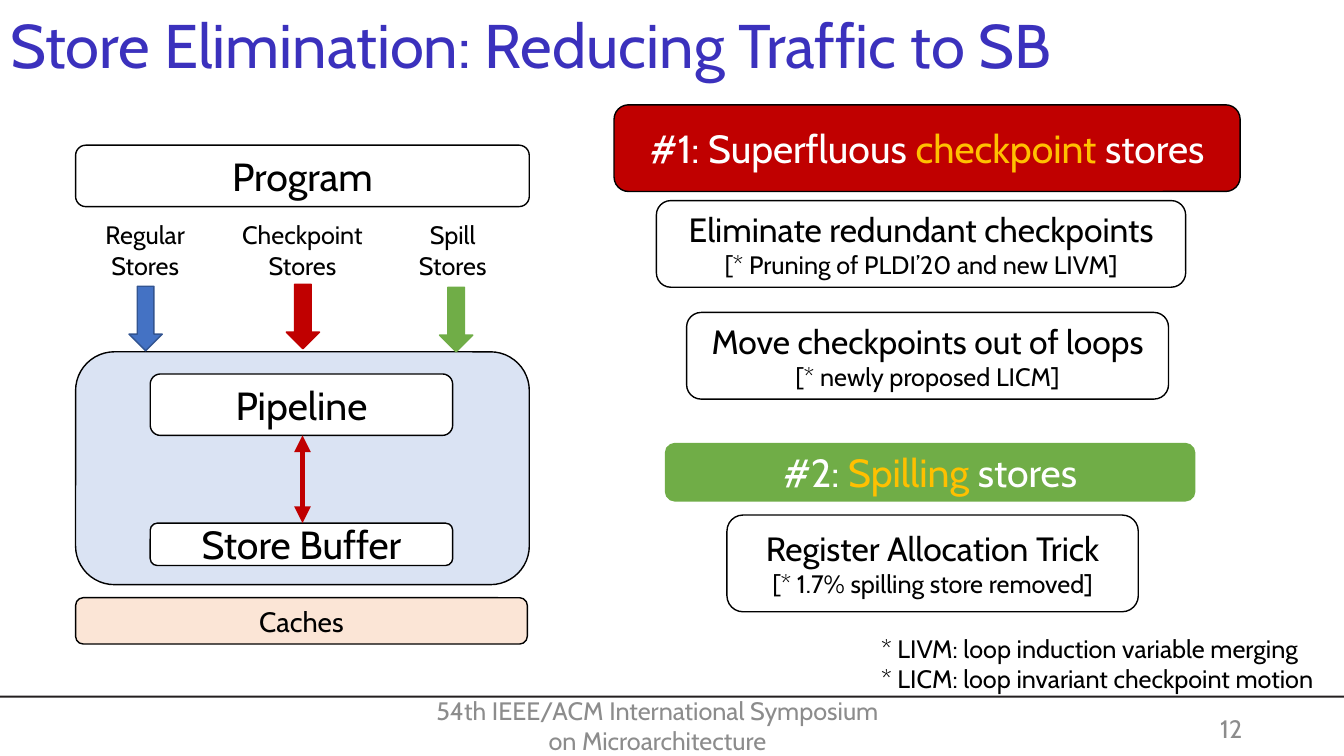
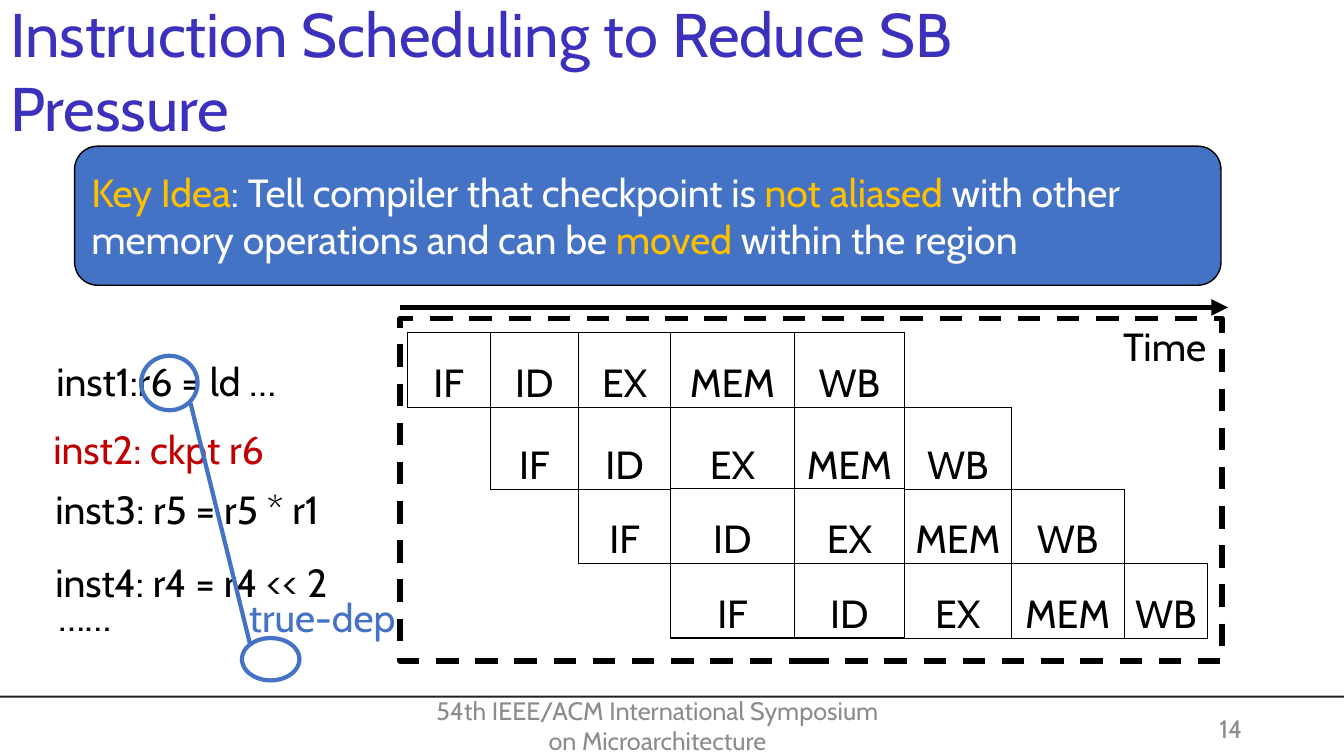
from itertools import accumulate

from pptx import Presentation
from pptx.dml.color import RGBColor
from pptx.enum.dml import MSO_LINE as Dash
from pptx.enum.shapes import MSO_CONNECTOR as Link, MSO_SHAPE as Kind
from pptx.enum.text import MSO_ANCHOR as Anchor, MSO_AUTO_SIZE as Fit, PP_ALIGN as Align
from pptx.oxml.ns import qn
from pptx.util import Pt
from lxml.etree import SubElement as add_node

PX = 9144
FONT = "Cabin"
WHITE = RGBColor(0xFF, 0xFF, 0xFF)
BLACK = RGBColor(0x00, 0x00, 0x00)
INK = RGBColor(0x23, 0x1F, 0x20)
GREY = RGBColor(0x8C, 0x8C, 0x8C)
VIOLET = RGBColor(0x3B, 0x31, 0xBD)
RED = RGBColor(0xC0, 0x00, 0x00)
GOLD = RGBColor(0xFF, 0xC0, 0x00)
GREEN = RGBColor(0x70, 0xAD, 0x47)
BLUE = RGBColor(0x44, 0x72, 0xC4)
NAVY = RGBColor(0x32, 0x54, 0x91)
PALE = RGBColor(0xDA, 0xE3, 0xF3)
PEACH = RGBColor(0xFB, 0xE5, 0xD6)


def px(*sizes):
    """Turn px lengths into EMU."""
    return [size * PX for size in sizes]


def line(size, *runs):
    """Describe one paragraph as a size and its (text, colour) runs."""
    return size, runs


def write(frame, lines, align=Align.CENTER, anchor=Anchor.MIDDLE, wrap=True):
    """Fill a text frame run by run."""
    frame.word_wrap = wrap
    frame.auto_size = Fit.NONE
    frame.vertical_anchor = anchor
    for i, (size, runs) in enumerate(lines):
        para = frame.add_paragraph() if i else frame.paragraphs[0]
        para.alignment = align
        for text, tint in runs:
            run = para.add_run()
            run.text = text
            run.font.name = FONT
            run.font.size = Pt(size)
            run.font.color.rgb = tint


def label(slide, box, lines, align=Align.LEFT, anchor=Anchor.TOP, wrap=True):
    """Place a text box."""
    write(slide.shapes.add_textbox(*px(*box)).text_frame, lines, align, anchor, wrap)


def shape(slide, kind, box, fill=None, edge=BLACK, width=1, lines=(), align=Align.CENTER):
    """Place a preset shape with optional fill, outline and text."""
    item = slide.shapes.add_shape(kind, *px(*box))
    item.shadow.inherit = False
    if fill is None:
        item.fill.background()
    else:
        item.fill.solid()
        item.fill.fore_color.rgb = fill
    if edge is None:
        item.line.fill.background()
    else:
        item.line.color.rgb = edge
        item.line.width = Pt(width)
    write(item.text_frame, lines, align)
    return item


def card(slide, box, lines, fill=WHITE, edge=BLACK, align=Align.CENTER):
    """Place a rounded box with text."""
    shape(slide, Kind.ROUNDED_RECTANGLE, box, fill, edge, 1, lines, align)


def link(slide, ends, tint, width, tips=()):
    """Draw a straight line with triangles at the named ends."""
    item = slide.shapes.add_connector(Link.STRAIGHT, *px(*ends))
    item.line.color.rgb = tint
    item.line.width = Pt(width)
    props = item.element.spPr
    for tip in tips:
        add_node(props.find(qn("a:ln")), qn(f"a:{tip}"), type="triangle")
    add_node(props, qn("a:effectLst"))


def base(deck, lines, width, height, number):
    """Start a slide with its title, footer rule, footer and number."""
    slide = deck.slides.add_slide(deck.slide_layouts[5])
    title = slide.shapes.title
    title.left, title.top, title.width, title.height = px(0, 0, width, height)
    write(title.text_frame, [line(44, (text, VIOLET)) for text in lines], Align.LEFT)
    shape(slide, Kind.RECTANGLE, (0, 690, 1333, 2), INK, None)
    venue = "54th IEEE/ACM International Symposium on Microarchitecture"
    label(slide, (413, 697, 478, 46), [line(18, (venue, GREY))], Align.CENTER, Anchor.MIDDLE)
    label(slide, (942, 703, 300, 40), [line(18, (number, GREY))], Align.RIGHT, Anchor.MIDDLE)
    return slide


def flow(slide, x, y):
    """Draw the path of stores from program to caches."""
    card(slide, (x, y, 450, 61), [line(28, ("Program", BLACK))])
    card(slide, (x, y + 205, 450, 231), [], PALE)
    card(slide, (x, y + 449, 448, 46), [line(20, ("Caches", BLACK))], PEACH)
    for text, top, height in (("Pipeline", 227, 61), ("Store Buffer", 375, 42)):
        card(slide, (x + 74, y + top, 300, height), [line(28, (text, BLACK))])
    link(slide, (x + 225, y + 288, x + 225, y + 375), RED, 4, ("headEnd", "tailEnd"))
    stores = (
        ("Regular", 69, 53, 140, BLUE, NAVY),
        ("Checkpoint", 225, 209, 138, RED, RED),
        ("Spill", 374, 361, 141, GREEN, GREEN),
    )
    for name, mid, left, top, fill, edge in stores:
        label(slide, (x + mid - 70, y + 69, 140, 71),
              [line(18, (text, BLACK)) for text in (name, "Stores")], Align.CENTER, wrap=False)
        shape(slide, Kind.DOWN_ARROW, (x + left, y + top, 33, 64), fill, edge)


def fixes(slide, x, y):
    """Stack the two kinds of stores with their remedies."""
    card(slide, (x, y, 621, 86),
         [line(28, ("#1: Superfluous", WHITE), (" checkpoint ", GOLD), ("stores", WHITE))], RED)
    card(slide, (x + 51, y + 336, 525, 57),
         [line(28, ("#2: ", WHITE), ("Spilling ", GOLD), ("stores", WHITE))], GREEN, GREEN)
    cards = (
        ((42, 95, 525, 86), "Eliminate redundant checkpoints", "[* Pruning of PLDI’20 and new LIVM]"),
        ((72, 206, 478, 86), "Move checkpoints out of loops", "[* newly proposed LICM]"),
        ((112, 407, 408, 96), "Register Allocation Trick", "[* 1.7% spilling store removed]"),
    )
    for (left, top, width, height), head, note in cards:
        card(slide, (x + left, y + top, width, height),
             [line(24, (head, BLACK)), line(18, (note, BLACK))])
    notes = ("* LIVM: loop induction variable merging", "* LICM: loop invariant checkpoint motion")
    label(slide, (x + 255, y + 519, 469, 71),
          [line(18, (text, BLACK)) for text in notes], wrap=False)


def code(slide, x, y):
    """List the instructions and mark the true dependence."""
    rows = (
        ("inst1:r6 = ld …", 3, 0, BLACK),
        ("inst2: ckpt r6", 0, 67, RED),
        ("inst3: r5 = r5 * r1", 2, 127, BLACK),
        ("inst4: r4 = r4 << 2", 2, 199, BLACK),
        ("……", 5, 233, BLACK),
    )
    for text, left, top, tint in rows:
        label(slide, (x + left, y + top, 351, 57), [line(28, (text, tint))])
    for left, top, width, height in ((97, 3, 56, 54), (197, 283, 57, 42)):
        shape(slide, Kind.OVAL, (x + left, y + top, width, height), None, BLUE, 3)
    link(slide, (x + 146, y + 50, x + 205, y + 289), BLUE, 3)
    label(slide, (x + 192, y + 234, 169, 57), [line(28, ("true-dep", BLUE))],
          Align.CENTER, wrap=False)


def used(row, col):
    """Tell whether a stage sits in this cell."""
    return 0 <= row < 4 and 0 <= col - row < 5


def core(row, col):
    """Tell whether a cell has the thicker border."""
    return 1 <= row <= 3 and 3 <= col <= 4


def rule(cell, row, col):
    """Border a cell wherever it or its neighbour holds a stage."""
    props = cell._tc.get_or_add_tcPr()
    for side, down, right in (("L", 0, -1), ("R", 0, 1), ("T", -1, 0), ("B", 1, 0)):
        pair = (row, col), (row + down, col + right)
        thick = any(core(*spot) for spot in pair)
        edge = add_node(props, qn(f"a:ln{side}"), w=str(Pt(1 if thick else 0.5)))
        if any(used(*spot) for spot in pair):
            fill = add_node(edge, qn("a:solidFill"))
            add_node(fill, qn("a:srgbClr"), val=str(BLACK))
        else:
            add_node(edge, qn("a:noFill"))


def stages(slide, x, y):
    """Draw the pipeline timing table inside its dashed frame."""
    link(slide, (x, y, x + 821, y), BLACK, 4, ("tailEnd",))
    label(slide, (x + 707, y + 10, 114, 57), [line(28, ("Time", BLACK))])
    frame = shape(slide, Kind.RECTANGLE, (x, y + 11, 815, 340), None, BLACK, 4)
    frame.line.dash_style = Dash.DASH
    wide, high = (82, 88, 91, 123, 109, 106, 112, 83), (74, 81, 74, 74)
    size = [list(accumulate(part))[-1] for part in (wide, high)]
    item = slide.shapes.add_table(4, 8, *px(x + 7, y + 25, *size))
    table = item.table
    table.first_row = table.horz_banding = False
    for part, span in zip(table.columns, px(*wide)):
        part.width = span
    for part, span in zip(table.rows, px(*high)):
        part.height = span
    names = ("IF", "ID", "EX", "MEM", "WB")
    for row in range(4):
        for col in range(8):
            cell = table.cell(row, col)
            rule(cell, row, col)
            cell.fill.background()
            cell.margin_left = cell.margin_right = cell.margin_top = PX
            cell.margin_bottom = 0
            cell.vertical_anchor = Anchor.BOTTOM
            if used(row, col):
                para = cell.text_frame.paragraphs[0]
                para.alignment = Align.CENTER
                run = para.add_run()
                run.text = names[col - row]
                run.font.name, run.font.size = FONT, Pt(28)
                run.font.color.rgb = BLACK


def idea(slide, box):
    """State the key idea in a banner."""
    runs = (
        ("Key Idea", GOLD),
        (": Tell compiler that checkpoint is ", WHITE),
        ("not aliased", GOLD),
        (" with other memory operations and can be ", WHITE),
        ("moved", GOLD),
        (" within the region", WHITE),
    )
    card(slide, box, [line(28, *runs)], BLUE, align=Align.LEFT)


def main():
    """Build and save both slides."""
    deck = Presentation()
    deck.slide_width, deck.slide_height = px(1333, 750)

    slide = base(deck, ["Store Elimination: Reducing Traffic to SB"], 1129, 87, "12")
    flow(slide, 75, 144)
    fixes(slide, 609, 104)

    slide = base(deck, ["Instruction Scheduling to Reduce SB", "Pressure"], 1014, 138, "14")
    stages(slide, 397, 305)
    code(slide, 43, 350)
    idea(slide, (74, 145, 1137, 138))

    deck.save("out.pptx")


if __name__ == "__main__":
    main()
